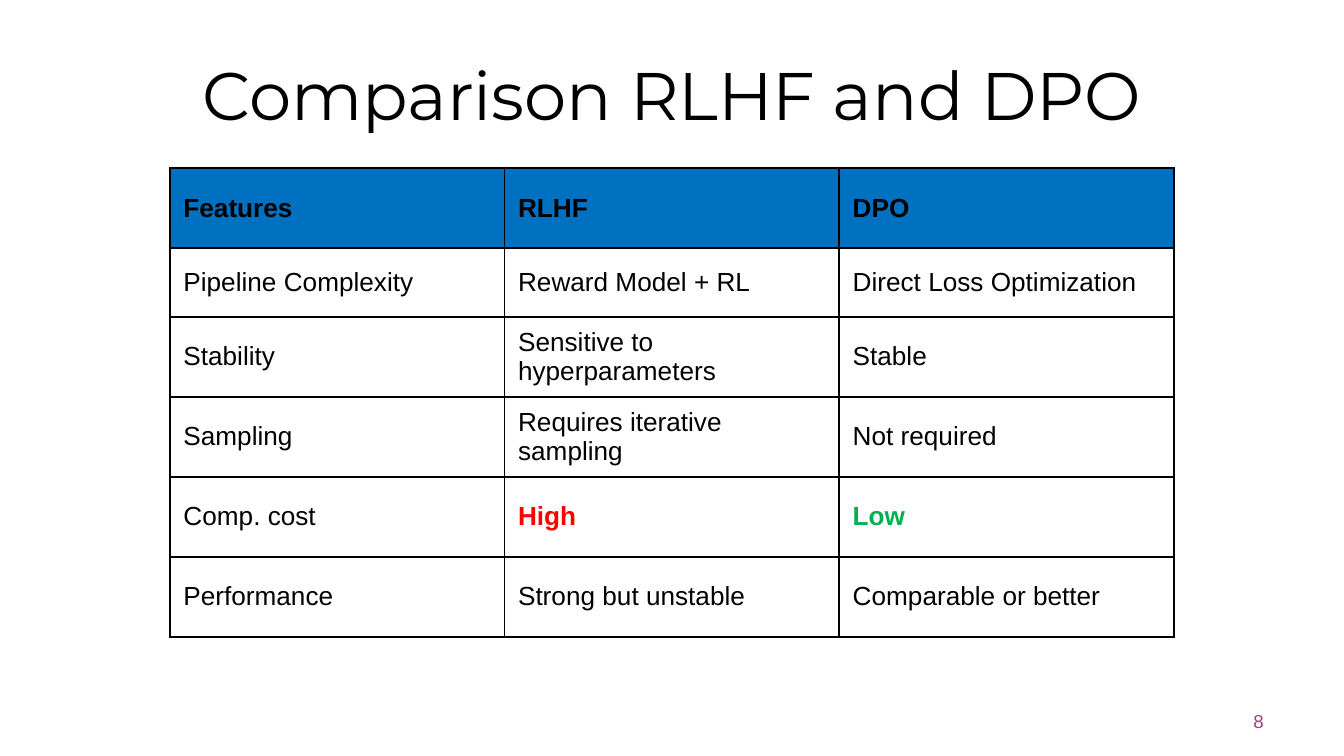
from lxml import etree
from pptx import Presentation
from pptx import util as u
from pptx.dml.color import RGBColor
from pptx.enum import text
from pptx.oxml import ns

PX = 914400 / 134.4
BLACK = RGBColor(0x00, 0x00, 0x00)
BLUE = RGBColor(0x00, 0x70, 0xC0)
RED = RGBColor(0xFF, 0x00, 0x00)
GREEN = RGBColor(0x00, 0xB0, 0x50)
PLUM = RGBColor(0x9C, 0x47, 0x7B)


def px(*lengths):
    return [u.Emu(round(length * PX)) for length in lengths]


def write(frame, words, size, font, color, align, bold=False):
    frame.word_wrap = True
    frame.vertical_anchor = text.MSO_ANCHOR.MIDDLE
    paragraph = frame.paragraphs[0]
    paragraph.text = words
    paragraph.alignment = align
    paragraph.font.size = u.Pt(size)
    paragraph.font.name = font
    paragraph.font.bold = bold
    paragraph.font.color.rgb = color


prs = Presentation()
prs.slide_width, prs.slide_height = px(1344, 756)
slide = prs.slides.add_slide(prs.slide_layouts[6])

title = slide.shapes.add_textbox(*px(67, 31, 1210, 126))
write(title.text_frame, "Comparison RLHF and DPO", 36, "Montserrat", BLACK, text.PP_ALIGN.CENTER)

page_number = slide.shapes.add_textbox(*px(964, 701, 313, 40))
write(page_number.text_frame, "8", 10, "Arial", PLUM, text.PP_ALIGN.RIGHT)

features = [
    ("Features", "RLHF", "DPO"),
    ("Pipeline Complexity", "Reward Model + RL", "Direct Loss Optimization"),
    ("Stability", "Sensitive to hyperparameters", "Stable"),
    ("Sampling", "Requires iterative sampling", "Not required"),
    ("Comp. cost", "High", "Low"),
    ("Performance", "Strong but unstable", "Comparable or better"),
]
verdict_colors = {"High": RED, "Low": GREEN}
row_heights = px(80, 69, 80, 80, 80, 80)

comparison = slide.shapes.add_table(len(features), 3, *px(170, 168, 1004, 469)).table
comparison.first_row = False
comparison.horz_banding = False

for r, (entries, height) in enumerate(zip(features, row_heights)):
    comparison.rows[r].height = height
    for c, entry in enumerate(entries):
        cell = comparison.cell(r, c)
        cell.vertical_anchor = text.MSO_ANCHOR.MIDDLE
        properties = cell._tc.get_or_add_tcPr()
        for side in ("lnL", "lnR", "lnT", "lnB"):
            border = etree.SubElement(properties, ns.qn("a:" + side), w=str(u.Pt(1)))
            border_fill = etree.SubElement(border, ns.qn("a:solidFill"))
            etree.SubElement(border_fill, ns.qn("a:srgbClr"), val=str(BLACK))
        if r == 0:
            cell.fill.solid()
            cell.fill.fore_color.rgb = BLUE
        else:
            cell.fill.background()
        write(cell.text_frame, entry, 14, "Arial", verdict_colors.get(entry, BLACK),
              text.PP_ALIGN.LEFT, bold=r == 0 or entry in verdict_colors)
        cell.vertical_anchor = text.MSO_ANCHOR.MIDDLE

prs.save("out.pptx")
